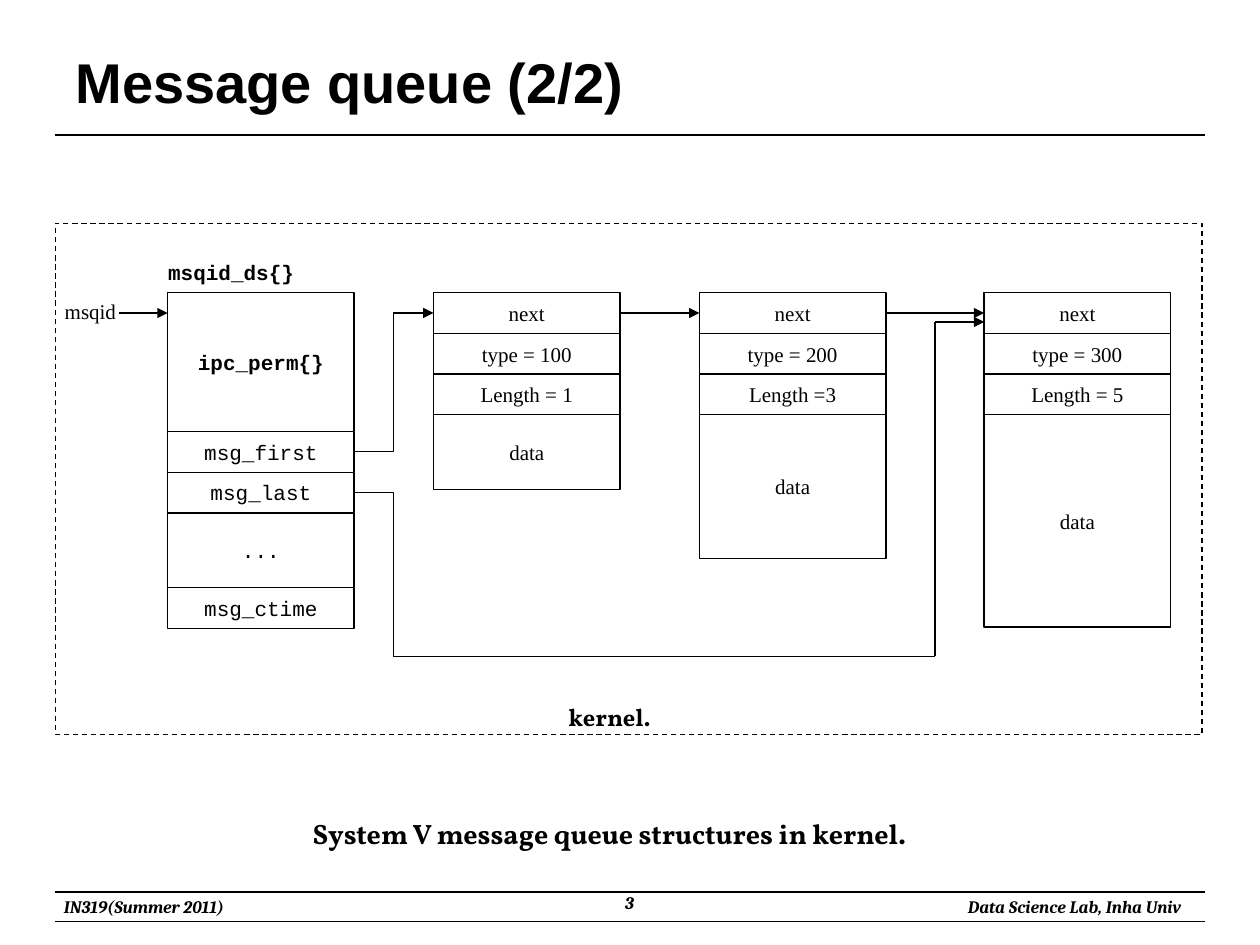
"""Build the slide on System V message queue structures in the kernel."""
from lxml import etree
from pptx import Presentation
from pptx.dml.color import RGBColor
from pptx.enum import dml, shapes, text
from pptx.oxml import ns
from pptx.util import Cm, Pt

BLACK = RGBColor(0, 0, 0)
SERIF, MONO, FOOT, CAPTION = "Times New Roman", "Courier New", "Cambria", "Vollkorn"
LEFT, CENTER, RIGHT = text.PP_ALIGN.LEFT, text.PP_ALIGN.CENTER, text.PP_ALIGN.RIGHT
TOP, MIDDLE = text.MSO_ANCHOR.TOP, text.MSO_ANCHOR.MIDDLE
STRAIGHT, ELBOW = shapes.MSO_CONNECTOR.STRAIGHT, shapes.MSO_CONNECTOR.ELBOW

prs = Presentation()
prs.slide_width, prs.slide_height = Cm(25.4), Cm(19.05)
s = prs.slides.add_slide(prs.slide_layouts[6])


def write(sp, words, font, size, align=CENTER, anchor=TOP, wrap=False, bold=False, italic=False):
    tf = sp.text_frame
    tf.word_wrap = wrap
    tf.vertical_anchor = anchor
    p = tf.paragraphs[0]
    p.text = words
    p.alignment = align
    p.font.name, p.font.size = font, Pt(size)
    p.font.bold, p.font.italic = bold, italic
    p.font.color.rgb = BLACK


def connect(x1, y1, x2, y2, kind=STRAIGHT, arrow=False):
    c = s.shapes.add_connector(kind, Cm(x1), Cm(y1), Cm(x2), Cm(y2))
    c.line.color.rgb = BLACK
    c.line.width = Pt(0.75)
    if arrow:
        etree.SubElement(c.line._get_or_add_ln(), ns.qn("a:tailEnd"), type="triangle")
    etree.SubElement(c._element.spPr, ns.qn("a:effectLst"))
    return c


for y in (2.72, 17.98, 18.57):
    connect(1.1, y, 24.3, y)

row, width, top = 0.82, 3.76, 5.9
columns = [
    (3.38, MONO, [("ipc_perm{}", 2.8), ("msg_first", row), ("msg_last", row),
                  ("...", 1.51), ("msg_ctime", row)]),
]
for x, kind, length, data_height in [
    (8.74, "type = 100", "Length = 1", 1.51),
    (14.1, "type = 200", "Length =3", 2.9),
    (19.84, "type = 300", "Length = 5", 4.28),
]:
    columns.append((x, SERIF, [("next", row), (kind, row), (length, row), ("data", data_height)]))

boxes = [(1.12, 4.5, 23.11, 10.31, "", SERIF)]
for x, font, cells in columns:
    y = top
    for words, height in cells:
        boxes.append((x, y, width, height, words, font))
        y += height

for x, y, w, h, words, font in boxes:
    sp = s.shapes.add_shape(shapes.MSO_SHAPE.RECTANGLE, Cm(x), Cm(y), Cm(w), Cm(h))
    sp.shadow.inherit = False
    sp.fill.background()
    sp.line.color.rgb = BLACK
    sp.line.width = Pt(0.75)
    if words:
        write(sp, words, font, 12, anchor=MIDDLE, bold=words == "ipc_perm{}")
    else:
        sp.line.dash_style = dml.MSO_LINE.DASH

ds, first, second, third = [column[0] for column in columns]
next_y = top + row / 2
first_y = top + 2.8 + row / 2
last_y = first_y + row
bend_x, low_y, rise_x, end_y = 7.93, 13.23, 18.85, 6.49

connect(2.39, next_y, ds, next_y, arrow=True)
connect(ds + width, first_y, first, next_y, ELBOW, True)
connect(first + width, next_y, second, next_y, arrow=True)
connect(second + width, next_y, third, next_y, arrow=True)
c = connect(ds + width, last_y, bend_x, low_y, ELBOW)
c._element.spPr.find(ns.qn("a:prstGeom")).set("prst", "bentConnector2")
connect(bend_x, low_y, rise_x, low_y)
connect(rise_x, low_y, rise_x, end_y)
connect(rise_x, end_y, third, end_y, arrow=True)

bold, footer = {"bold": True}, {"bold": True, "italic": True}
for x, y, w, h, words, font, size, style in [
    (1.27, 0.76, 22.86, 1.75, "Message queue (2/2)", "Arial", 32,
     {"align": LEFT, "anchor": MIDDLE, "wrap": True, "bold": True}),
    (0.8, 5.99, 1.79, 0.58, "msqid", SERIF, 12,
     {"align": RIGHT, "anchor": MIDDLE, "wrap": True}),
    (3.11, 5.11, 3.1, 0.76, "msqid_ds{}", MONO, 12, bold),
    (5.94, 14.02, 12.7, 0.86, "kernel.", CAPTION, 14, {"wrap": True, **bold}),
    (5.94, 16.33, 12.7, 0.94, "System V message queue structures in kernel.", CAPTION, 16,
     {"wrap": True, **bold}),
    (1.04, 17.93, 4.39, 0.69, "IN319(Summer 2011)", FOOT, 10, {"align": LEFT, **footer}),
    (9.73, 17.86, 5.92, 0.79, "3", FOOT, 10, {"wrap": True, **footer}),
    (18.19, 17.93, 5.87, 0.69, "Data Science Lab, Inha Univ", FOOT, 10, {"align": RIGHT, **footer}),
]:
    sp = s.shapes.add_textbox(Cm(x), Cm(y), Cm(w), Cm(h))
    write(sp, words, font, size, **style)

prs.save("out.pptx")
